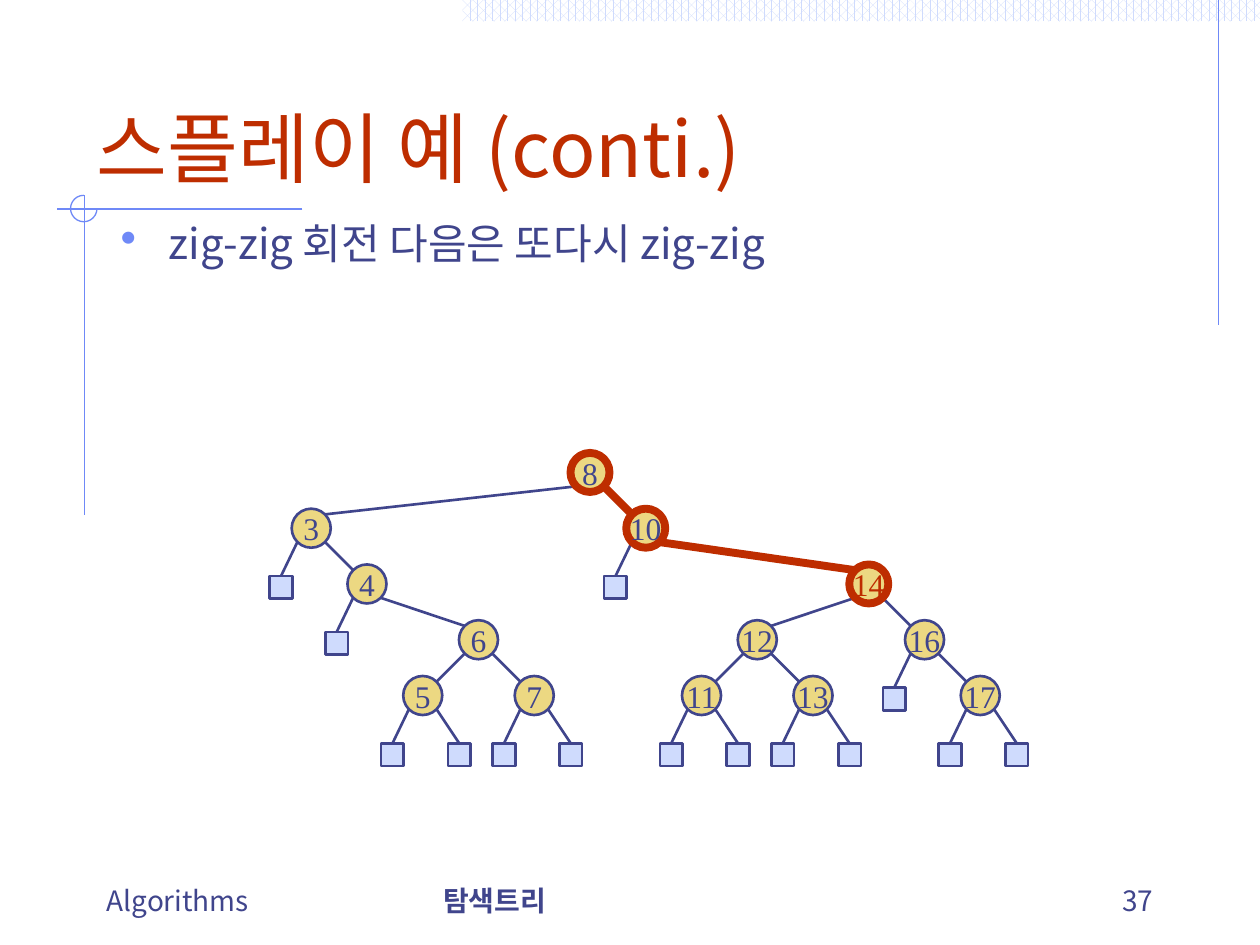
from dataclasses import dataclass

from pptx import Presentation
from pptx.dml.color import RGBColor
from pptx.enum.dml import MSO_PATTERN
from pptx.enum.shapes import MSO_CONNECTOR, MSO_SHAPE
from pptx.enum.text import MSO_ANCHOR as Anchor, PP_ALIGN as Align
from pptx.oxml.ns import qn
from pptx.util import Inches, Pt


@dataclass(frozen=True)
class Theme:
    ink: str = "40458C"
    accent: str = "BE2D00"
    rule: str = "6F89F7"
    pale: str = "CFDBFD"
    paper: str = "FFFFFF"
    node: str = "ECD882"
    sans: str = "Noto Sans CJK KR"
    serif: str = "Times New Roman"
    title_size: int = 44
    body_size: int = 24
    footer_size: int = 16
    node_size: int = 18
    thin: float = 0.75
    normal: float = 1.5
    heavy: float = 4.5


@dataclass(frozen=True)
class Node:
    key: int
    left: "Node | None" = None
    right: "Node | None" = None


THEME = Theme()
SPLAY_TREE = Node(
    8,
    Node(3, None, Node(4, None, Node(6, Node(5), Node(7)))),
    Node(10, None, Node(14, Node(12, Node(11), Node(13)),
                        Node(16, None, Node(17)))),
)
SPLAY_PATH = (8, 10, 14)
SPLAYED_KEY = 14

TREE_LEFT, TREE_TOP = 2.47, 3.75  # centre of the first key, centre of the root
STEP = 5.31 / 12  # between neighbouring keys, and between levels
RADIUS = 0.155
CORNER = 0.11  # from a node's centre to its diagonal points
LEAF_SIDE = 0.18
LEAF_DROP = 0.38
LEAF_OFFSETS = {-1: -0.24, 1: 0.29}


def rgb(color):
    return RGBColor.from_string(color)


def keys_in_order(node):
    if node is None:
        return []
    return keys_in_order(node.left) + [node.key] + keys_in_order(node.right)


class SlideBuilder:
    def __init__(self, slide, theme):
        self.shapes = slide.shapes
        self.theme = theme

    def line(self, start, end, color, width):
        connector = self.shapes.add_connector(
            MSO_CONNECTOR.STRAIGHT, *(Inches(v) for v in (*start, *end)))
        connector.line.color.rgb = rgb(color)
        connector.line.width = Pt(width)
        properties = connector._element.spPr
        properties.append(properties.makeelement(qn("a:effectLst"), {}))
        return connector

    def shape(self, preset, box, fill=None, outline=None, width=0):
        shape = self.shapes.add_shape(preset, *(Inches(v) for v in box))
        shape.shadow.inherit = False
        if fill:
            shape.fill.solid()
            shape.fill.fore_color.rgb = rgb(fill)
        else:
            shape.fill.background()
        if outline:
            shape.line.color.rgb = rgb(outline)
            shape.line.width = Pt(width)
        else:
            shape.line.fill.background()
        return shape

    def pattern_band(self, box):
        fill = self.shape(MSO_SHAPE.RECTANGLE, box).fill
        fill.patterned()
        fill.pattern = MSO_PATTERN.PERCENT_60
        fill.fore_color.rgb = rgb(self.theme.pale)
        fill.back_color.rgb = rgb(self.theme.paper)

    def set_text(self, frame, text, size, color, font, align=Align.LEFT, bold=False):
        frame.text = text
        paragraph = frame.paragraphs[0]
        paragraph.alignment = align
        style = paragraph.runs[0].font
        style.size, style.name, style.bold = Pt(size), font, bold
        style.color.rgb = rgb(color)
        properties = paragraph.runs[0]._r.get_or_add_rPr()
        properties.append(properties.makeelement(qn("a:ea"), {"typeface": font}))
        return paragraph

    def text(self, box, text, size, color, anchor=Anchor.BOTTOM, **options):
        frame = self.shapes.add_textbox(*(Inches(v) for v in box)).text_frame
        frame.word_wrap = True
        frame.vertical_anchor = anchor
        return self.set_text(frame, text, size, color, self.theme.sans, **options)

    def bullet(self, box, text):
        paragraph = self.text(box, text, self.theme.body_size, self.theme.ink,
                              anchor=Anchor.TOP)
        paragraph.line_spacing = 0.9
        paragraph.space_before = Pt(5)
        properties = paragraph._p.get_or_add_pPr()
        properties.set("marL", str(Inches(0.38)))
        properties.set("indent", str(Inches(-0.38)))
        color = properties.makeelement(qn("a:buClr"), {})
        color.append(color.makeelement(qn("a:srgbClr"), {"val": self.theme.rule}))
        properties.append(color)
        for tag, attributes in (("a:buSzPct", {"val": "110000"}),
                                ("a:buChar", {"char": "•"})):
            properties.append(properties.makeelement(qn(tag), attributes))

    def leaf(self, x, y, side):
        """Hang an empty leaf below the node centred at x, y."""
        center, top = x + LEAF_OFFSETS[side], y + LEAF_DROP
        box = (center - LEAF_SIDE / 2, top, LEAF_SIDE, LEAF_SIDE)
        leaf = self.shape(MSO_SHAPE.RECTANGLE, box, self.theme.pale,
                          self.theme.ink, self.theme.normal)
        edge = self.line((center, top), (x + side * CORNER, y + CORNER),
                         self.theme.ink, self.theme.normal)
        edge.begin_connect(leaf, 0)

    def node(self, key, x, y):
        on_path = key in SPLAY_PATH
        circle = self.shape(
            MSO_SHAPE.OVAL, (x - RADIUS, y - RADIUS, 2 * RADIUS, 2 * RADIUS),
            self.theme.node, *self.stroke(on_path))
        frame = circle.text_frame
        frame.margin_left = frame.margin_right = 0
        frame.margin_top = frame.margin_bottom = 0
        frame.word_wrap = False
        frame.vertical_anchor = Anchor.MIDDLE
        color = self.theme.accent if key == SPLAYED_KEY else self.theme.ink
        self.set_text(frame, str(key), self.theme.node_size, color,
                      self.theme.serif, align=Align.CENTER)

    def stroke(self, on_path):
        if on_path:
            return self.theme.accent, self.theme.heavy
        return self.theme.ink, self.theme.normal

    def tree(self, node, columns, level=0):
        """Draw a subtree: column by key order, row by depth."""
        x, y = TREE_LEFT + columns[node.key] * STEP, TREE_TOP + level * STEP
        for side, child in ((-1, node.left), (1, node.right)):
            if child is None:
                self.leaf(x, y, side)
                continue
            child_x = TREE_LEFT + columns[child.key] * STEP
            on_path = node.key in SPLAY_PATH and child.key in SPLAY_PATH
            self.line((child_x - side * CORNER, y + STEP - CORNER),
                      (x + side * CORNER, y + CORNER), *self.stroke(on_path))
            self.tree(child, columns, level + 1)
        self.node(node.key, x, y)


def main():
    deck = Presentation()
    deck.slide_width, deck.slide_height = Inches(10), Inches(7.5)
    page = SlideBuilder(deck.slides.add_slide(deck.slide_layouts[6]), THEME)

    page.pattern_band((3.67, 0, 6.33, 0.17))
    for start, end in (((9.67, 0), (9.67, 2.58)),
                       ((2.4, 1.66), (0.45, 1.66)),
                       ((0.67, 1.55), (0.67, 4.09))):
        page.line(start, end, THEME.rule, THEME.thin)
    ring = page.shape(MSO_SHAPE.ARC, (0.56, 1.55, 0.21, 0.21),
                      outline=THEME.rule, width=THEME.thin)
    ring.adjustments[0], ring.adjustments[1] = 0, 162  # 0° to 270°

    page.text((0.67, 0.33, 8.63, 1.25), "스플레이 예 (conti.)",
              THEME.title_size, THEME.accent)
    page.bullet((0.86, 1.72, 8.36, 0.63), "zig-zig 회전 다음은 또다시 zig-zig")
    for left, width, label, options in (
            (0.75, 2.37, "Algorithms", {}),
            (3.42, 3.17, "탐색트리", {"bold": True}),
            (7.17, 2.08, "37", {"align": Align.RIGHT})):
        page.text((left, 6.83, width, 0.5), label,
                  THEME.footer_size, THEME.ink, **options)

    columns = {key: i for i, key in enumerate(keys_in_order(SPLAY_TREE))}
    page.tree(SPLAY_TREE, columns)
    deck.save("out.pptx")


if __name__ == "__main__":
    main()
